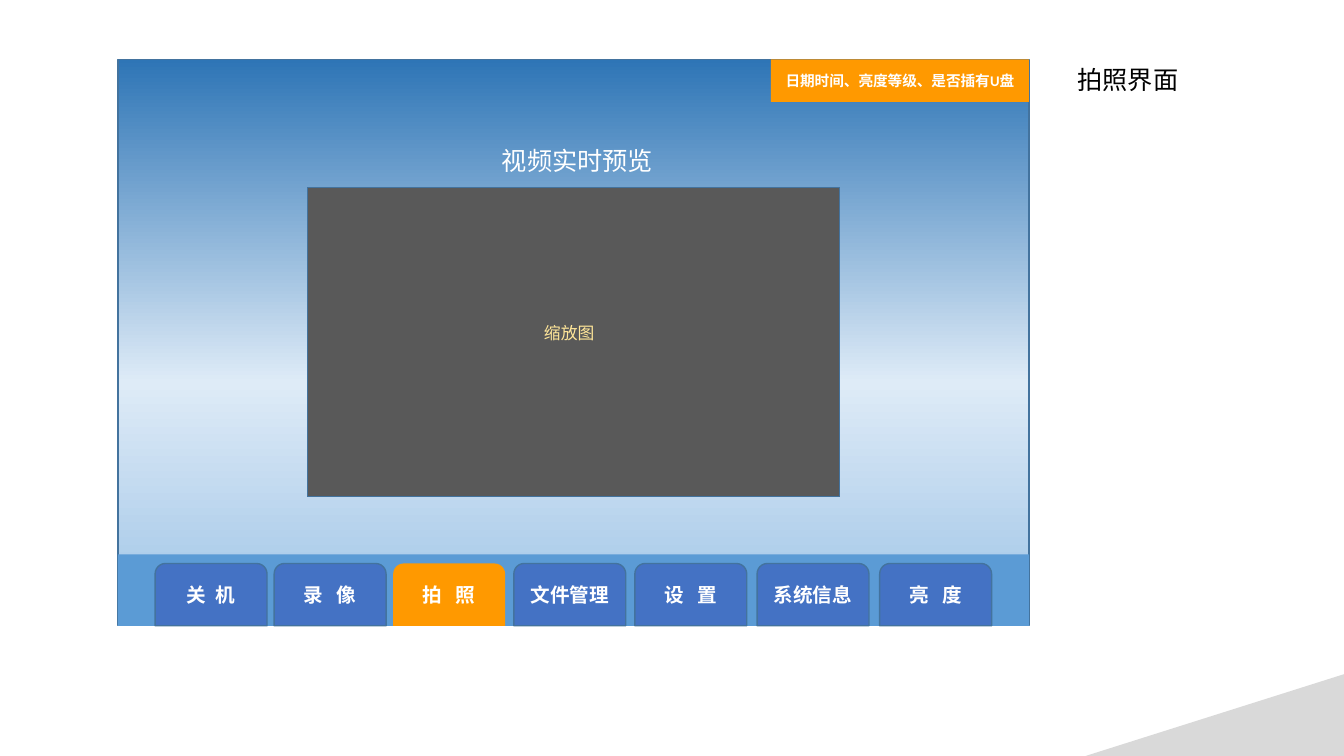
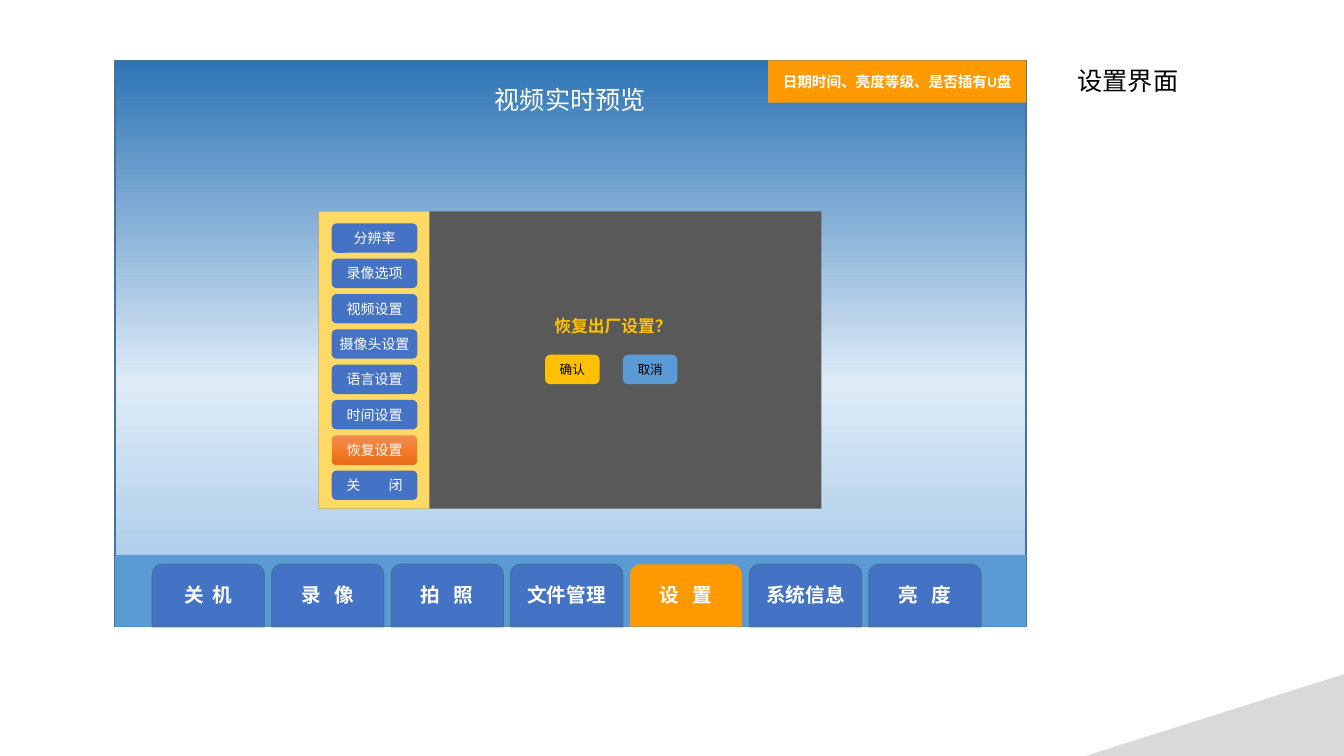
from lxml import etree
from pptx import Presentation
from pptx.dml.color import RGBColor
from pptx.enum.shapes import MSO_SHAPE as SHAPE
from pptx.enum.text import MSO_ANCHOR as ANCHOR, MSO_AUTO_SIZE as AUTO, PP_ALIGN as ALIGN
from pptx.oxml.ns import qn
from pptx.util import Cm, Pt

# Shared style
FONT = "Calibri"
WHITE = RGBColor(0xFF, 0xFF, 0xFF)
BLACK = RGBColor(0x00, 0x00, 0x00)
OUTLINE = RGBColor(0x43, 0x73, 0x9E)
BAND = RGBColor(0x5B, 0x9B, 0xD5)
BUTTON = RGBColor(0x44, 0x72, 0xC4)
ACTIVE = RGBColor(0xFF, 0x99, 0x00)
SCREEN = RGBColor(0x59, 0x59, 0x59)
CORNER = RGBColor(0xD9, 0xD9, 0xD9)
SIDEBAR = RGBColor(0xFF, 0xD9, 0x66)
GOLD = RGBColor(0xFF, 0xC0, 0x00)
PALE_GOLD = RGBColor(0xFF, 0xE6, 0x99)
# Vertical gradients: (percent, colour)
SKY = [(0, RGBColor(0x2E, 0x75, 0xB6)), (57, RGBColor(0xDE, 0xEB, 0xF7)),
       (100, RGBColor(0x9D, 0xC3, 0xE6))]
ORANGE = [(0, RGBColor(0xF1, 0x8C, 0x57)), (50, RGBColor(0xF6, 0x7B, 0x28)),
          (100, RGBColor(0xE5, 0x6C, 0x19))]


def write(sp, text, size, color, bold=False, spacing=0, align=ALIGN.LEFT):
    """Put one line of text in a shape; spacing is in points."""
    tf = sp.text_frame
    tf.text = text
    tf.word_wrap = True
    p = tf.paragraphs[0]
    p.alignment = align
    r = p.runs[0]
    r.font.name, r.font.size, r.font.bold = FONT, Pt(size), bold
    r.font.color.rgb = color
    rPr = r.font._element
    rPr.set("lang", "zh-CN")
    if spacing:
        rPr.set("spc", str(round(spacing * 100)))


def add_box(s, kind, box, fill, line=None, text=None, **style):
    """Add a filled shape, with a centred label if text is given."""
    sp = s.shapes.add_shape(kind, *map(Cm, box))
    sp.shadow.inherit = False
    if isinstance(fill, list):
        sp.fill.gradient()
        sp.fill.gradient_angle = 270
        gsLst = sp._element.spPr.find(qn("a:gradFill")).find(qn("a:gsLst"))
        for gs in list(gsLst):
            gsLst.remove(gs)
        for percent, color in fill:
            gs = etree.SubElement(gsLst, qn("a:gs"), pos=str(percent * 1000))
            etree.SubElement(gs, qn("a:srgbClr"), val=str(color))
    else:
        sp.fill.solid()
        sp.fill.fore_color.rgb = fill
    if line is None:
        sp.line.fill.background()
    else:
        sp.line.color.rgb = line
        sp.line.width = Pt(1)
    if text:
        tf = sp.text_frame
        tf.margin_left = tf.margin_right = tf.margin_top = tf.margin_bottom = 0
        tf.vertical_anchor = ANCHOR.MIDDLE
        write(sp, text, align=ALIGN.CENTER, **style)
    return sp


prs = Presentation()
prs.slide_width, prs.slide_height = Cm(33.87), Cm(19.05)

# Tabs: label and letter spacing
TABS = [("关 机", 1.6), ("录 像", 3.3), ("拍 照", 3.3), ("文件管理", 0),
        ("设 置", 3.3), ("系统信息", 0), ("亮 度", 3.3)]
# Page title, active tab, panel corner, preview heading corner, tab lefts
PAGES = [
    ("拍照界面", 2, (2.97, 1.5), (12.4, 3.53),
     [3.91, 6.91, 9.91, 12.95, 16, 19.08, 22.17]),
    ("设置界面", 4, (2.9, 1.52), (12.22, 2.01),
     [3.84 + 3.01 * i for i in range(len(TABS))]),
]
PANEL_W, PANEL_H, BAND_H = 22.96, 14.27, 1.8
STATUS_W = 6.5

# Frame of every page
slides = []
for title, active, (left, top), heading, tab_lefts in PAGES:
    s = prs.slides.add_slide(prs.slide_layouts[5])
    slides.append(s)
    bottom = top + PANEL_H

    # Title
    sp = s.shapes.title
    sp.left, sp.top, sp.width, sp.height = map(Cm, (26.9, top, 3.4, 1.02))
    write(sp, title, 18, BLACK)
    sp.text_frame.vertical_anchor = ANCHOR.TOP
    sp.text_frame.auto_size = AUTO.NONE

    # Panel, bottom band and status box
    add_box(s, SHAPE.RECTANGLE, (left, top, PANEL_W, PANEL_H), SKY, OUTLINE)
    add_box(s, SHAPE.RECTANGLE, (left, bottom - BAND_H, PANEL_W, BAND_H), BAND)
    add_box(s, SHAPE.RECTANGLE, (left + PANEL_W - STATUS_W, top, STATUS_W, 1.07),
            ACTIVE, text="日期时间、亮度等级、是否插有U盘",
            size=10.5, color=WHITE, bold=True)

    # Preview heading
    sp = s.shapes.add_textbox(*map(Cm, (*heading, 4.8, 1.02)))
    write(sp, "视频实时预览", 18, WHITE)

    # Tabs
    for i, (label, spacing) in enumerate(TABS):
        on = i == active
        sp = add_box(s, SHAPE.ROUND_2_SAME_RECTANGLE,
                     (tab_lefts[i], bottom - 1.57, 2.82, 1.57),
                     ACTIVE if on else BUTTON, None if on else OUTLINE, label,
                     size=14, color=WHITE, bold=True, spacing=spacing)
        sp.text_frame.margin_bottom = Cm(0.1)

    # Corner triangle
    sp = add_box(s, SHAPE.RIGHT_TRIANGLE, (27.36, 16.99, 6.51, 2.06), CORNER)
    sp._element.spPr.find(qn("a:xfrm")).set("flipH", "1")

photo, settings = slides

# Photo page: live view
add_box(photo, SHAPE.RECTANGLE, (7.75, 4.72, 13.41, 7.8), SCREEN, OUTLINE)
sp = photo.shapes.add_textbox(Cm(13.46), Cm(8), Cm(2), Cm(0.76))
write(sp, "缩放图", 12, PALE_GOLD)

# Settings page: dialog with sidebar menu
add_box(settings, SHAPE.RECTANGLE, (8.03, 5.33, 12.67, 7.49), SCREEN)
add_box(settings, SHAPE.RECTANGLE, (8.03, 5.33, 2.79, 7.49), SIDEBAR)
MENU = ["分辨率", "录像选项", "视频设置", "摄像头设置", "语言设置", "时间设置",
        "恢复设置", "关 闭"]
for i, label in enumerate(MENU):
    add_box(settings, SHAPE.ROUNDED_RECTANGLE, (8.36, 5.63 + 0.89 * i, 2.16, 0.74),
            ORANGE if label == "恢复设置" else BUTTON, text=label,
            size=10, color=WHITE, spacing=9 if label == "关 闭" else 0)

# Settings page: reset question and answers
sp = settings.shapes.add_textbox(Cm(13.72), Cm(7.82), Cm(3.6), Cm(0.76))
write(sp, "恢复出厂设置？", 12, GOLD, bold=True)
for left, label, fill in [(13.74, "确认", GOLD), (15.7, "取消", BAND)]:
    add_box(settings, SHAPE.ROUNDED_RECTANGLE, (left, 8.94, 1.37, 0.74), fill,
            text=label, size=9, color=BLACK)

prs.save("out.pptx")
